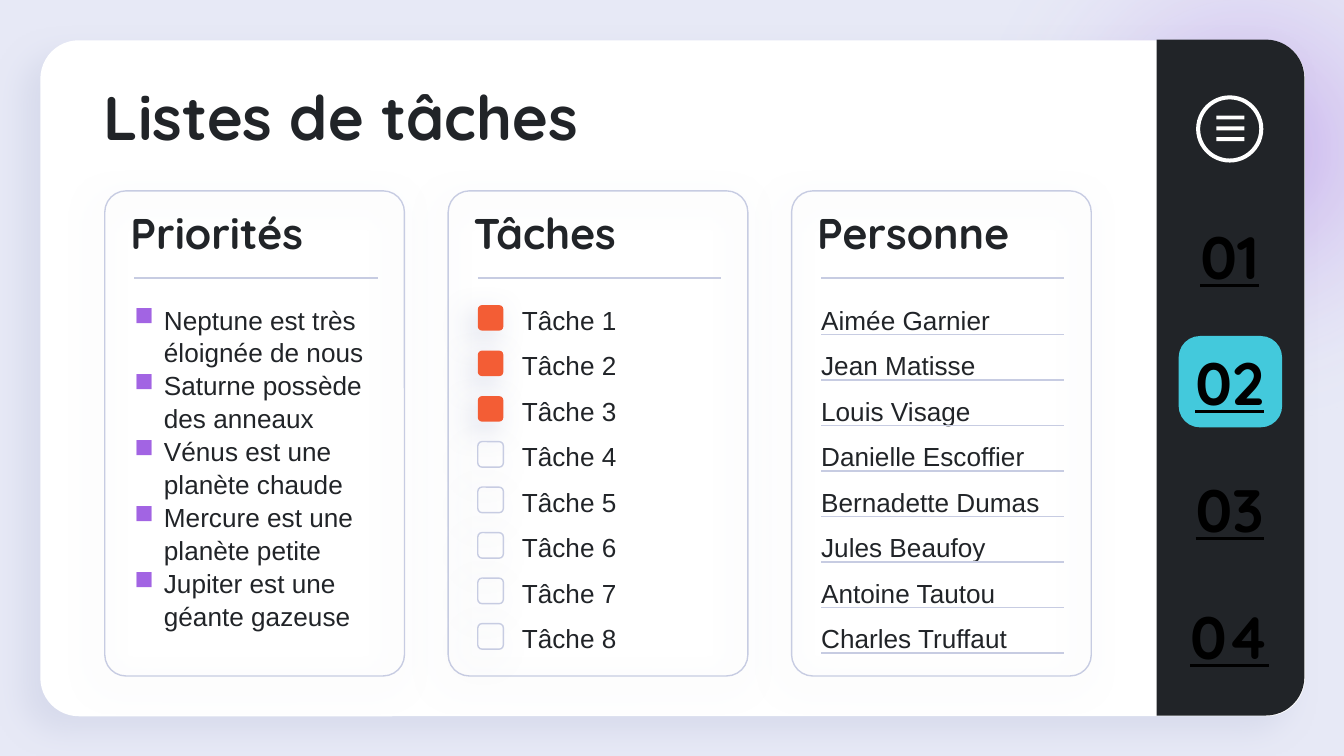
from lxml import etree
from pptx import Presentation
from pptx.dml.color import RGBColor
from pptx.enum.shapes import MSO_CONNECTOR, MSO_SHAPE
from pptx.enum.text import MSO_ANCHOR, MSO_AUTO_SIZE, PP_ALIGN
from pptx.oxml import parse_xml
from pptx.oxml.ns import nsdecls, qn
from pptx.util import Inches, Pt

ROUNDED, OVAL, RECTANGLE = MSO_SHAPE.ROUNDED_RECTANGLE, MSO_SHAPE.OVAL, MSO_SHAPE.RECTANGLE
TWO_ROUNDED, DONUT = MSO_SHAPE.ROUND_2_SAME_RECTANGLE, MSO_SHAPE.DONUT
STRAIGHT = MSO_CONNECTOR.STRAIGHT
LEFT, CENTER = PP_ALIGN.LEFT, PP_ALIGN.CENTER
TOP, MIDDLE = MSO_ANCHOR.TOP, MSO_ANCHOR.MIDDLE

COLORS = {
    "background": "E7E9F6", "panel": "FFFFFF", "ink": "212428", "border": "C7CCE2",
    "violet": "A264E3", "done": "F35D35", "active": "43C9DC", "number": "000000",
}
SOFT_SHADOW = (63, 15.8, 6, 128)  # opacity %, blur pt, distance pt, angle
PANEL_SHADOW = (47, 16.9, 12, 137)

CARD_LEFT, CARD_TOP, CARD_WIDTH, CARD_HEIGHT = 0.78, 1.42, 2.23, 3.61
COLUMN = (5.89 - CARD_LEFT) / 2
RULE_INSET, RULE_WIDTH = 0.22, 1.81
LIST_TOP, ROW, ROW_HEIGHT = 2.25, 2.37 / 7, 0.24
MENU_CENTER = 9.15

PRIORITIES = [
    "Neptune est très éloignée de nous", "Saturne possède des anneaux",
    "Vénus est une planète chaude", "Mercure est une planète petite",
    "Jupiter est une géante gazeuse",
]
PEOPLE = [
    "Aimée Garnier", "Jean Matisse", "Louis Visage", "Danielle Escoffier",
    "Bernadette Dumas", "Jules Beaufoy", "Antoine Tautou", "Charles Truffaut",
]
TASKS_DONE = 3

deck = Presentation()
deck.slide_width, deck.slide_height = Inches(10), Inches(5.625)
page = deck.slides.add_slide(deck.slide_layouts[5])
page.background.fill.solid()
page.background.fill.fore_color.rgb = RGBColor.from_string(COLORS["background"])


def add_shape(kind, left, top, width, height, fill=None, line=None, adjust=(), shadow=None):
    shape = page.shapes.add_shape(kind, Inches(left), Inches(top), Inches(width), Inches(height))
    for index, value in enumerate(adjust):
        shape.adjustments[index] = value
    if fill:
        shape.fill.solid()
        shape.fill.fore_color.rgb = RGBColor.from_string(COLORS[fill])
    else:
        shape.fill.background()
    if line:
        shape.line.color.rgb = RGBColor.from_string(COLORS[line])
        shape.line.width = Pt(0.75)
    else:
        shape.line.fill.background()
    shape.shadow.inherit = False
    if shadow:
        opacity, blur, distance, angle = shadow
        shape.element.spPr.find(qn("a:effectLst")).append(parse_xml(
            f'<a:outerShdw {nsdecls("a")} blurRad="{Pt(blur)}" dist="{Pt(distance)}"'
            f' dir="{angle * 60000}" algn="bl" rotWithShape="0">'
            f'<a:srgbClr val="{COLORS["border"]}"><a:alpha val="{opacity * 1000}"/></a:srgbClr>'
            '</a:outerShdw>'))
    return shape


def write(box, lines, size, font="Arial", color="ink", indent=0, align=LEFT, anchor=TOP,
          insets=(0, 0, 0.1, 0), bullet=None, underline=None, spacing=None):
    frame = box.text_frame
    frame.word_wrap = True
    frame.auto_size = MSO_AUTO_SIZE.NONE
    frame.vertical_anchor = anchor
    frame.margin_left, frame.margin_top, frame.margin_right, frame.margin_bottom = map(Inches, insets)
    for index, line in enumerate(lines):
        para = frame.add_paragraph() if index else frame.paragraphs[0]
        para.alignment = align
        para.line_spacing = spacing
        if bullet:
            props = para._p.get_or_add_pPr()
            props.set("marL", str(Inches(0.25)))
            props.set("indent", str(Inches(-0.22)))
            bullet_color = etree.SubElement(props, qn("a:buClr"))
            etree.SubElement(bullet_color, qn("a:srgbClr"), val=COLORS["violet"])
            etree.SubElement(props, qn("a:buChar"), char=bullet)
        span = para.add_run()
        span.text = line
        span.font.size, span.font.name = Pt(size), font
        span.font.bold = font == "Quicksand"
        span.font.underline = underline
        span.font.color.rgb = RGBColor.from_string(COLORS[color])


# Backdrop: glow, white panel and dark menu bar
glow = add_shape(OVAL, 6.93, -1.22, 4.66, 4.66, fill="violet")
glow_fill = glow.element.spPr.find(qn("a:solidFill"))
stops = "".join(
    f'<a:gs pos="{position * 1000}"><a:srgbClr val="{COLORS[name]}">'
    f'<a:alpha val="{opacity * 1000}"/></a:srgbClr></a:gs>'
    for position, name, opacity in [(0, "violet", 49), (62, "background", 0), (100, "panel", 0)])
glow_fill.getparent().replace(glow_fill, parse_xml(
    f'<a:gradFill {nsdecls("a")} rotWithShape="1"><a:gsLst>{stops}</a:gsLst><a:path path="circle">'
    '<a:fillToRect l="50000" t="50000" r="50000" b="50000"/></a:path></a:gradFill>'))
add_shape(ROUNDED, 0.3, 0.3, 9.41, 5.03, fill="panel", adjust=[0.057], shadow=PANEL_SHADOW)
menu_bar = add_shape(TWO_ROUNDED, 6.64, 2.26, 5.03, 1.1, fill="ink", adjust=[0.261, 0])
menu_bar.rotation = 90

title = page.shapes.title
title.left, title.top, title.width, title.height = map(Inches, (0.67, 0.59, 7.45, 0.52))
write(title, ["Listes de tâches"], 33, "Quicksand", insets=(0.1, 0, 0.1, 0.1))
page.shapes.element.append(title.element)

# Cards with their headings; rules are collected and drawn together
rules = []
for index, heading in enumerate(["Priorités", "Tâches", "Personne"]):
    left = CARD_LEFT + index * COLUMN
    add_shape(ROUNDED, left, CARD_TOP, CARD_WIDTH, CARD_HEIGHT, line="border",
              adjust=[0.071], shadow=SOFT_SHADOW)
    box = page.shapes.add_textbox(Inches(left + 0.19), Inches(1.54), Inches(2.04), Inches(0.38))
    write(box, [heading], 23, "Quicksand")
    rules.append((left + RULE_INSET, 2.07))

box = page.shapes.add_textbox(Inches(0.97), Inches(LIST_TOP), Inches(1.93), Inches(2.59))
write(box, PRIORITIES, 14, bullet="■", spacing=1.05)

# Task and person rows
task_left = CARD_LEFT + COLUMN + RULE_INSET
person_left = CARD_LEFT + 2 * COLUMN + RULE_INSET
for index, person in enumerate(PEOPLE):
    top = LIST_TOP + index * ROW
    done = index < TASKS_DONE
    add_shape(ROUNDED, task_left, top + 0.02, 0.19, 0.19, fill="done" if done else None,
              line=None if done else "border", adjust=[0.167], shadow=SOFT_SHADOW)
    for left, width, text, inset in [(task_left + 0.23, 1.57, f"Tâche {index + 1}", 0.1),
                                     (person_left, RULE_WIDTH, person, 0)]:
        box = page.shapes.add_textbox(Inches(left), Inches(top), Inches(width), Inches(ROW_HEIGHT))
        write(box, [text], 14, insets=(inset, 0, 0.1, 0), spacing=1.05)
    rules.append((person_left, top + ROW_HEIGHT))

for left, top in rules:
    rule = page.shapes.add_connector(STRAIGHT, Inches(left), Inches(top),
                                     Inches(left + RULE_WIDTH), Inches(top))
    rule.line.color.rgb = RGBColor.from_string(COLORS["border"])
    rule.line.width = Pt(0.75)
    etree.SubElement(rule.element.spPr, qn("a:effectLst"))

# Menu: icon, active tab and section numbers
add_shape(DONUT, MENU_CENTER - 0.25, 0.71, 0.5, 0.5, fill="panel", adjust=[0.06])
for index in range(3):
    add_shape(RECTANGLE, MENU_CENTER - 0.1, 0.86 + index * 0.08, 0.21, 0.03, fill="panel")
add_shape(ROUNDED, 8.77, 2.5, 0.77, 0.68, fill="active", adjust=[0.234])
for index in range(4):
    box = page.shapes.add_textbox(Inches(MENU_CENTER - 0.4), Inches(1.63 + index * 2.83 / 3),
                                  Inches(0.8), Inches(0.54))
    write(box, [f"0{index + 1}"], 32, "Quicksand", "number", align=CENTER, anchor=MIDDLE,
          insets=(0.1, 0, 0.1, 0), underline=True)

deck.save("out.pptx")
